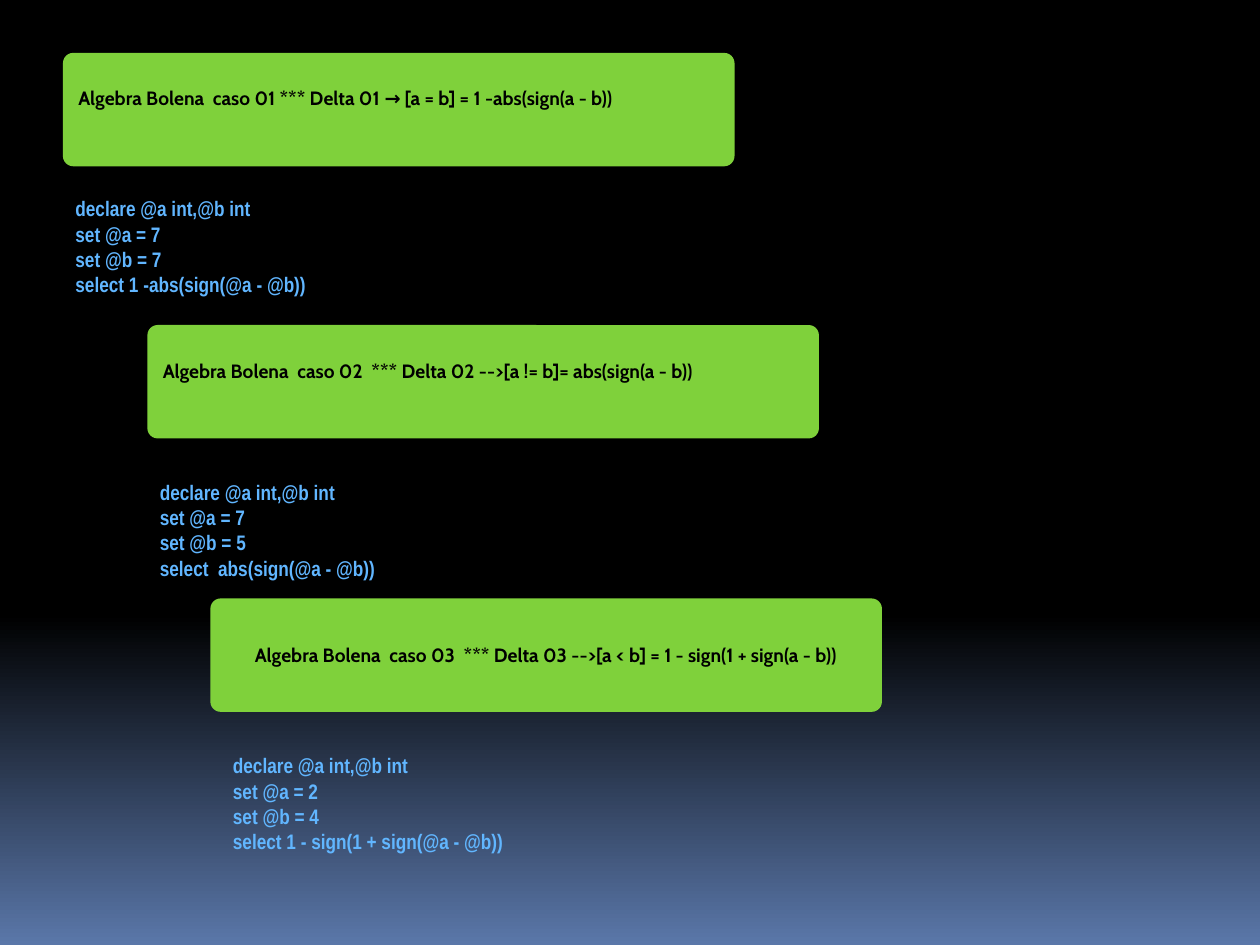
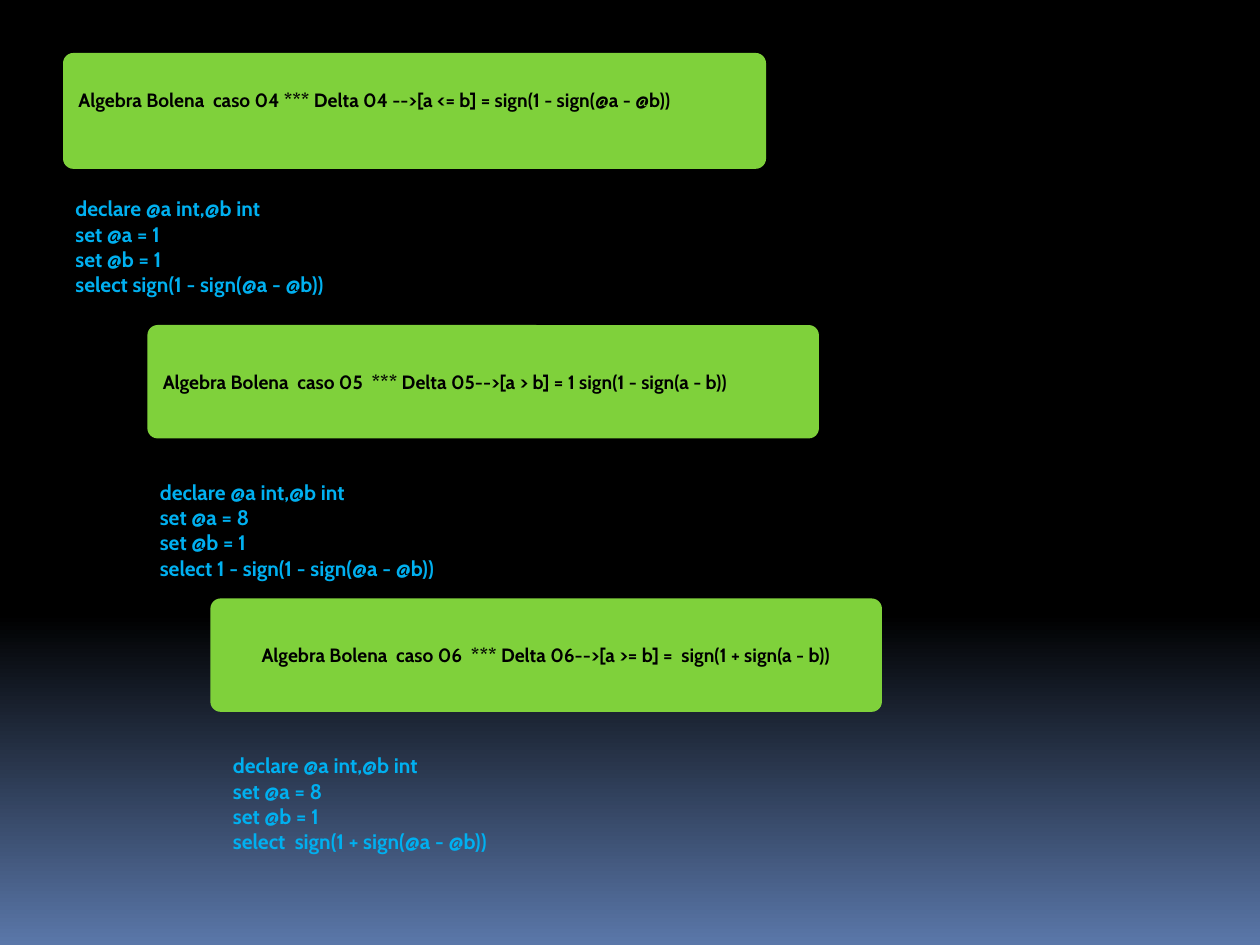
from collections import namedtuple

from pptx import Presentation
from pptx.dml.color import RGBColor
from pptx.enum.shapes import MSO_SHAPE
from pptx.enum.text import MSO_ANCHOR as Anchor, MSO_AUTO_SIZE as AutoSize, PP_ALIGN as Align
from pptx.util import Inches, Pt

COLORS = {
    "night": "000000",
    "horizon": "5A77A9",
    "card": "7FD13B",
    "formula": "000000",
    "pale_code": "61B6FF",
    "bright_code": "00B0F0",
}
FORMULA_FONT = "Cabin"
CARD_SIZE = (5.33, 0.9)
CODE_HEIGHT = 0.91
PLAIN_INSET = 0.05
RAISED_INSET = 0.23

Box = namedtuple("Box", "left top width height")
Case = namedtuple("Case", "formula a b query raised card_size", defaults=(False, CARD_SIZE))
Step = namedtuple("Step", "card_left card_top code_left code_top code_width align")

STEPS = [
    Step(0.5, 0.42, 0.5, 1.5, 5.92, Align.LEFT),
    Step(1.17, 2.58, 1.17, 3.75, 5.92, Align.LEFT),
    Step(1.67, 4.75, 1.75, 5.92, 5.75, Align.CENTER),
]

EQUALITY_CASES = [
    Case("Algebra Bolena  caso 01 *** Delta 01 → [a = b] = 1 -abs(sign(a - b))",
         7, 7, "select 1 -abs(sign(@a - @b))", True),
    Case("Algebra Bolena  caso 02  *** Delta 02 -->[a != b]= abs(sign(a - b))",
         7, 5, "select  abs(sign(@a - @b))", True),
    Case("Algebra Bolena  caso 03  *** Delta 03 -->[a < b] = 1 - sign(1 + sign(a - b))",
         2, 4, "select 1 - sign(1 + sign(@a - @b))"),
]
ORDER_CASES = [
    Case("Algebra Bolena  caso 04 *** Delta 04 -->[a <= b] = sign(1 - sign(@a - @b))",
         1, 1, "select sign(1 - sign(@a - @b))", True, (5.58, 0.92)),
    Case("Algebra Bolena  caso 05  *** Delta 05-->[a > b] = 1 sign(1 - sign(a - b))",
         8, 1, "select 1 - sign(1 - sign(@a - @b))"),
    Case("Algebra Bolena  caso 06  *** Delta 06-->[a >= b] =  sign(1 + sign(a - b))",
         8, 1, "select  sign(1 + sign(@a - @b))"),
]


def color(name):
    return RGBColor.from_string(COLORS[name])


def inches(box):
    return [Inches(length) for length in box]


def add_span(para, text, font, size, tint):
    span = para.add_run()
    span.text = text
    span.font.name = font
    span.font.size = Pt(size)
    span.font.bold = True
    span.font.color.rgb = color(tint)


def paint_background(page):
    fill = page.background.fill
    fill.gradient()
    fill.gradient_angle = 270
    for stop, position, tint in zip(fill.gradient_stops, (0.65, 1), ("night", "horizon")):
        stop.position = position
        stop.color.rgb = color(tint)


def add_formula_card(page, box, case, align):
    card = page.shapes.add_shape(MSO_SHAPE.ROUNDED_RECTANGLE, *inches(box))
    card.adjustments[0] = 0.09
    card.shadow.inherit = False
    card.fill.solid()
    card.fill.fore_color.rgb = color("card")
    card.line.fill.background()
    frame = card.text_frame
    frame.word_wrap = True
    frame.vertical_anchor = Anchor.MIDDLE
    frame.margin_bottom = Inches(RAISED_INSET if case.raised else PLAIN_INSET)
    para = frame.paragraphs[0]
    para.alignment = align
    add_span(para, case.formula, FORMULA_FONT, 11, "formula")


def add_code(page, box, case, font, tint):
    frame = page.shapes.add_textbox(*inches(box)).text_frame
    frame.word_wrap = True
    frame.auto_size = AutoSize.SHAPE_TO_FIT_TEXT
    frame.vertical_anchor = Anchor.MIDDLE
    lines = ["declare @a int,@b int", f"set @a = {case.a}", f"set @b = {case.b}", case.query]
    for number, line in enumerate(lines):
        para = frame.add_paragraph() if number else frame.paragraphs[0]
        add_span(para, line, font, 12, tint)


def add_case_page(deck, cases, code_font, code_tint):
    page = deck.slides.add_slide(deck.slide_layouts[6])
    paint_background(page)
    for step, case in zip(STEPS, cases):
        card_box = Box(step.card_left, step.card_top, *case.card_size)
        code_box = Box(step.code_left, step.code_top, step.code_width, CODE_HEIGHT)
        add_formula_card(page, card_box, case, step.align)
        add_code(page, code_box, case, code_font, code_tint)


def main():
    deck = Presentation()
    deck.slide_width = Inches(10)
    deck.slide_height = Inches(7.5)
    add_case_page(deck, EQUALITY_CASES, "Arial Narrow", "pale_code")
    add_case_page(deck, ORDER_CASES, FORMULA_FONT, "bright_code")
    deck.save("out.pptx")


if __name__ == "__main__":
    main()
